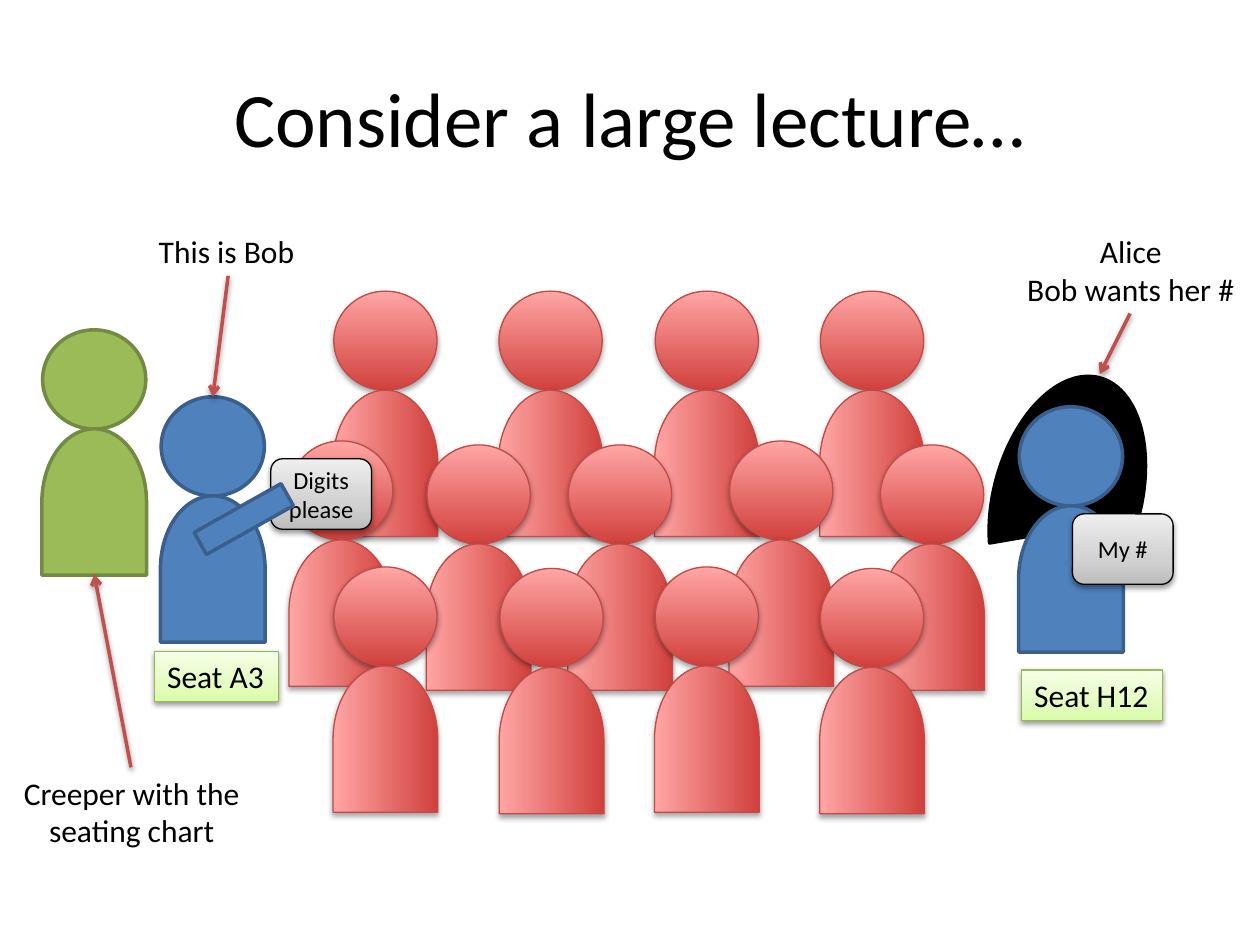
from lxml import etree
from pptx import Presentation
from pptx import util as u
from pptx.dml.color import RGBColor
from pptx.enum import shapes as es, text as et
from pptx.oxml.ns import qn

THEME = {
    "font": "Calibri", "ink": "000000", "arrow": "C0504D",
    "title": 44, "body": 18, "card": 14, "thick": 2, "thin": 0.75,
    "dist": 1.6, "alpha": 38,
}
# fill (a colour, or gradient stops from the bottom up), line, width, shadow
STYLES = {
    "blue": ("4F81BD", "3A5F8C", THEME["thick"], None),
    "green": ("9BBB59", "738A42", THEME["thick"], None),
    "black": ("000000", "000000", THEME["thick"], None),
    "red": ([(0, "D1403C"), (100, "FFA6A5")], "BF4C48", THEME["thin"], (35, 1.8)),
    "card": ([(0, "BDBDBD"), (35, "D1D1D1"), (100, "EEEEEE")], "000000",
             THEME["thin"], (THEME["alpha"], THEME["dist"])),
    "seat": ([(0, "DAFDA7"), (35, "E4FCC2"), (100, "F5FFE7")], "98B955",
             THEME["thin"], (THEME["alpha"], THEME["dist"])),
}
SHAPE = es.MSO_SHAPE
LEFT, MID = et.PP_ALIGN.LEFT, et.PP_ALIGN.CENTER

# All places are in centimetres.
TITLE = ("Consider a large lecture…", (1.27, 0.76, 22.86, 3.18))
HEAD = (2.08, 2.0)
BODY = (2.95, 2.11)
DROP = 3.47  # from the top of a head to the middle of its body
BOB, ALICE, CREEP = (3.25, 8.0), (20.55, 8.2), (0.86, 6.65)
HAIR = (19.0, 8.56, 5.03, 2.97)
ARM = (3.91, 10.21, 2.01, 0.51)
CROWD = [
    [(6.73, 5.87), (10.06, 5.87), (13.21, 5.87), (16.54, 5.87)],
    [(5.84, 8.89), (8.61, 8.97), (11.46, 8.97), (14.71, 8.89), (17.75, 8.97)],
    [(6.73, 11.43), (10.08, 11.46), (13.21, 11.43), (16.54, 11.46)],
]
# lines, box, alignment, wrap, arrow from, arrow to
NOTES = [
    (["This is Bob"], (2.95, 4.55, 3.28, 1.02), LEFT, False,
     (4.6, 5.56), (4.29, 8.0)),
    (["Alice", "Bob wants her #"], (20.42, 4.55, 4.75, 1.8), MID, False,
     (22.78, 6.32), (22.17, 7.54)),
    (["Creeper with the seating chart"], (0, 15.47, 5.31, 1.8), MID, True,
     (2.64, 15.47), (1.9, 11.58)),
]
CARD = (2.03, 1.42)
CARDS = {"Digits please": (5.46, 9.25), "My #": (21.62, 10.36)}
SEATS = {"Seat H12": (20.6, 13.51, 2.84, 1.02),
         "Seat A3": (3.12, 13.13, 2.49, 1.02)}


def rgb(tone):
    return RGBColor.from_string(tone)


def cm(*nums):
    return [u.Cm(n) for n in nums]


def node(up, tag, **attrs):
    return etree.SubElement(up, qn(tag), {k: str(v) for k, v in attrs.items()})


def shade(item, alpha, dist):
    """Give a shape or connector a soft shadow straight below it."""
    props = item._element.spPr
    fx = props.find(qn("a:effectLst"))
    if fx is None:
        fx = node(props, "a:effectLst")
    cast = node(fx, "a:outerShdw", blurRad=u.Pt(3.15), dist=u.Pt(dist),
                dir=5400000, rotWithShape=0)
    node(node(cast, "a:srgbClr", val="000000"), "a:alpha", val=alpha * 1000)


def paint(item, style):
    fill, edge, width, cast = STYLES[style]
    item.shadow.inherit = False
    if isinstance(fill, str):
        item.fill.solid()
        item.fill.fore_color.rgb = rgb(fill)
    else:
        item.fill.gradient()
        item.fill.gradient_angle = 90
        stops = item._element.spPr.find(".//" + qn("a:gsLst"))
        stops.clear()
        for pos, tone in fill:
            node(node(stops, "a:gs", pos=pos * 1000), "a:srgbClr", val=tone)
    item.line.color.rgb = rgb(edge)
    item.line.width = u.Pt(width)
    if cast:
        shade(item, *cast)


def draw(slide, kind, box, style, turn=0):
    item = slide.shapes.add_shape(kind, *cm(*box))
    item.rotation = turn
    paint(item, style)
    return item


def write(frame, lines, size, align, wrap=True):
    frame.text = "\n".join(lines)
    frame.word_wrap = wrap
    for para in frame.paragraphs:
        para.alignment = align
        for run in para.runs:
            run.font.name = THEME["font"]
            run.font.size = u.Pt(size)
            run.font.color.rgb = rgb(THEME["ink"])


def person(slide, spot, style):
    x, y = spot
    wide, tall = BODY
    draw(slide, SHAPE.OVAL, spot + HEAD, style)
    box = (x + (HEAD[0] - wide) / 2, y + DROP - tall / 2, wide, tall)
    draw(slide, SHAPE.FLOWCHART_DELAY, box, style, 270)


def point(slide, start, end):
    """Draw an arrow from start to end."""
    line = slide.shapes.add_connector(es.MSO_CONNECTOR.STRAIGHT, *cm(*start, *end))
    line.line.color.rgb = rgb(THEME["arrow"])
    line.line.width = u.Pt(THEME["thick"])
    node(line._element.spPr.find(qn("a:ln")), "a:tailEnd", type="arrow")
    shade(line, THEME["alpha"], THEME["dist"])


def main():
    deck = Presentation()
    deck.slide_width, deck.slide_height = cm(25.4, 19.05)
    slide = deck.slides.add_slide(deck.slide_layouts[5])

    head = slide.shapes.title
    words, box = TITLE
    head.left, head.top, head.width, head.height = cm(*box)
    write(head.text_frame, [words], THEME["title"], MID)
    head.text_frame.vertical_anchor = et.MSO_ANCHOR.MIDDLE

    person(slide, BOB, "blue")
    draw(slide, SHAPE.CHORD, HAIR, "black", 105.1)
    person(slide, ALICE, "blue")
    for row in CROWD:
        for spot in row:
            person(slide, spot, "red")
    person(slide, CREEP, "green")

    for lines, box, align, wrap, start, end in NOTES:
        note = slide.shapes.add_textbox(*cm(*box))
        write(note.text_frame, lines, THEME["body"], align, wrap)
        point(slide, start, end)

    for words, spot in CARDS.items():
        card = draw(slide, SHAPE.ROUNDED_RECTANGLE, spot + CARD, "card")
        write(card.text_frame, [words], THEME["card"], MID)
        card.text_frame.vertical_anchor = et.MSO_ANCHOR.MIDDLE
    draw(slide, SHAPE.RECTANGLE, ARM, "blue", 330.7)

    for words, box in SEATS.items():
        seat = draw(slide, SHAPE.RECTANGLE, box, "seat")
        write(seat.text_frame, [words], THEME["body"], LEFT, False)
        seat.text_frame.vertical_anchor = et.MSO_ANCHOR.TOP

    deck.save("out.pptx")


if __name__ == "__main__":
    main()
